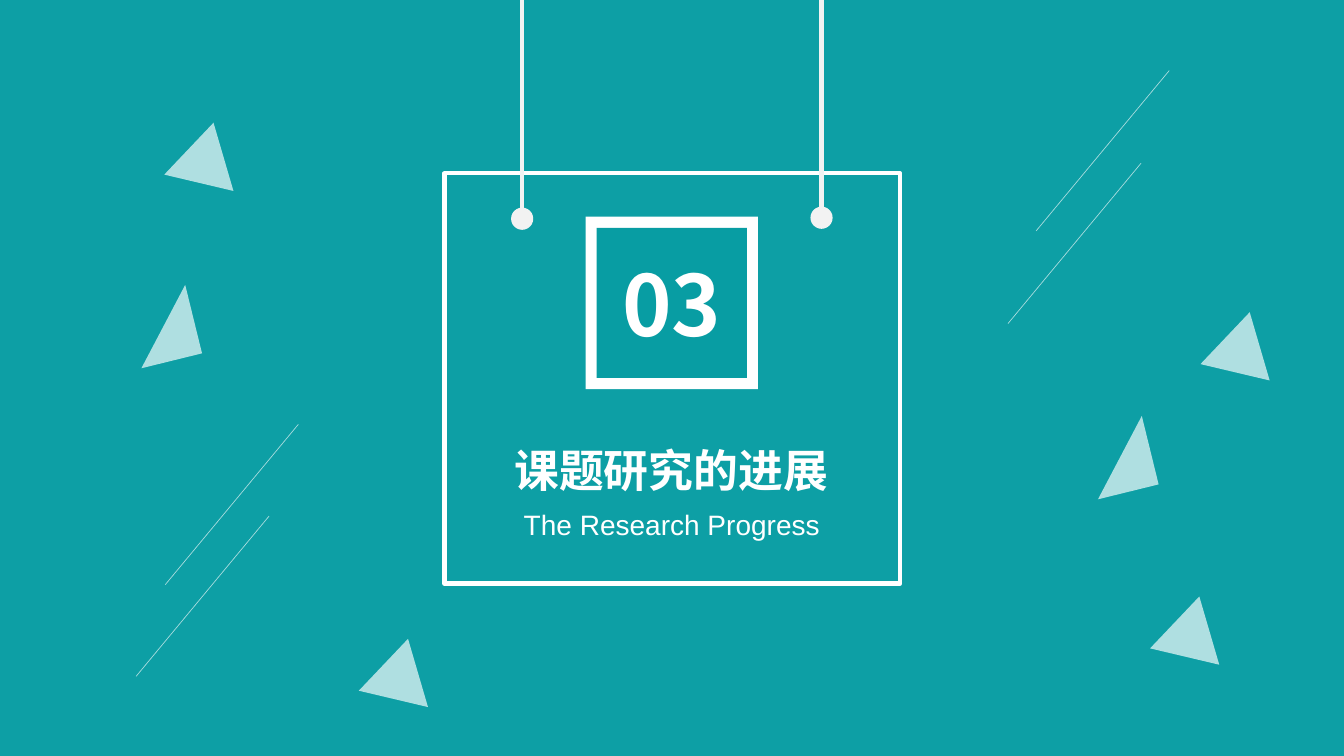
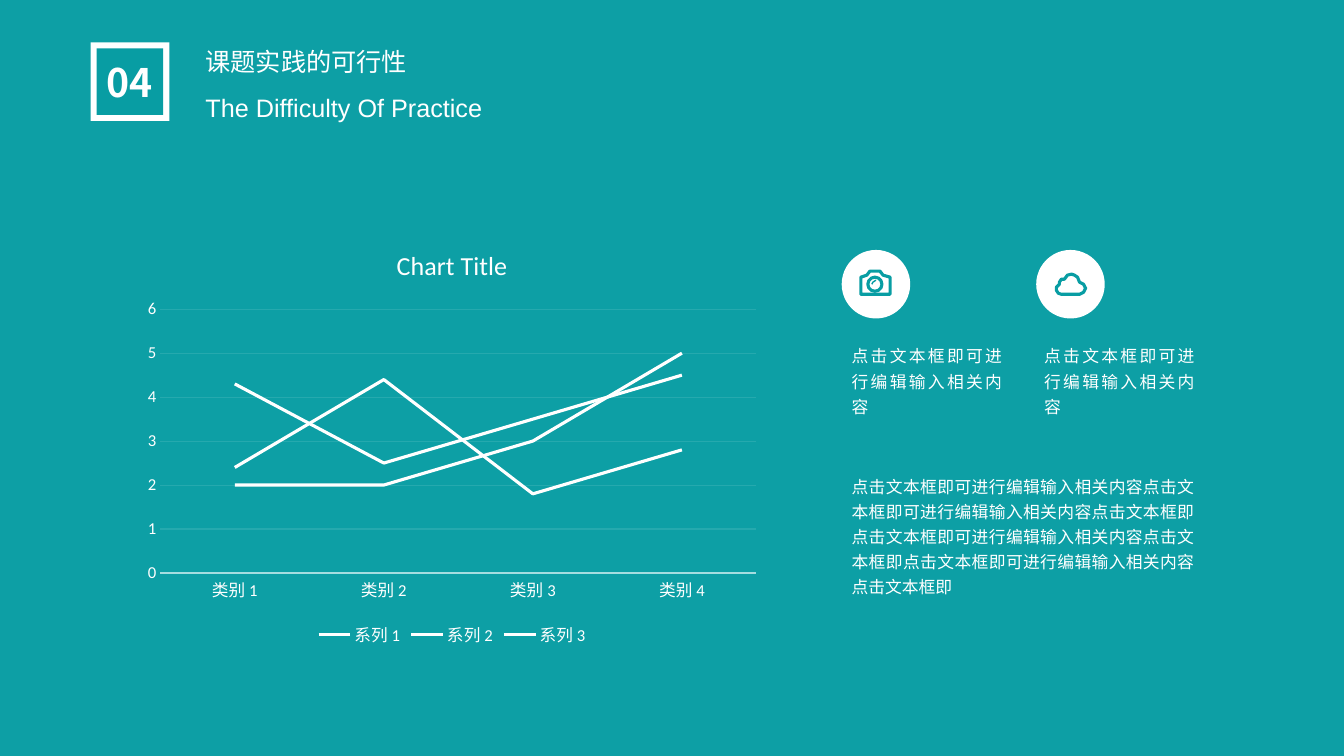
"""Build the section divider and the practice slide of a research deck."""
from lxml import etree
from pptx import Presentation, util as u
from pptx.chart import data
from pptx.dml.color import RGBColor
from pptx.enum import chart as charts, shapes, text
from pptx.oxml.ns import qn

PX = 9144
COLOURS = {"ground": "0D9FA5", "teal": "089DA3", "white": "FFFFFF",
           "string": "F2F2F2", "axis": "A5DDE0", "grid": "25A9AE"}
HAN, LATIN, FIGURES = "Noto Sans CJK SC", "Arial", "Calibri"
RGB = {name: RGBColor.from_string(value) for name, value in COLOURS.items()}
ALIGN = text.PP_ALIGN
PRESET = shapes.MSO_SHAPE


def paint(item, fill=None, line=None, weight=1):
    """Give a shape its fill and outline, without shadow."""
    item.shadow.inherit = False
    if fill:
        item.fill.solid()
        item.fill.fore_color.rgb = RGB[fill]
    else:
        item.fill.background()
    if line:
        item.line.color.rgb = RGB[line]
        item.line.width = u.Pt(weight)
    else:
        item.line.fill.background()
    return item


def write(item, wording, size, face, align, bold=False, **frame_format):
    """Put one white paragraph into a shape."""
    frame = item.text_frame
    layout = {"word_wrap": True, "margin_top": 0, "margin_bottom": 0,
              "vertical_anchor": text.MSO_ANCHOR.MIDDLE, **frame_format}
    for name, value in layout.items():
        setattr(frame, name, value)
    paragraph = frame.paragraphs[0]
    paragraph.alignment = align
    run = paragraph.add_run()
    run.text = wording
    for name, value in {"size": u.Pt(size), "name": face, "bold": bold}.items():
        setattr(run.font, name, value)
    run.font.color.rgb = RGB["white"]
    etree.SubElement(run.font._element, qn("a:ea"), typeface=face)
    return paragraph


deck = Presentation()
deck.slide_width, deck.slide_height = u.Emu(12192000), u.Emu(6858000)

SECTIONS = [
    ("03", 60, (581, 215, 171), 11, ALIGN.CENTER,
     [("课题研究的进展", 32, HAN, True, (395, 434, 542, 64)),
      ("The Research Progress", 20, LATIN, False, (392, 498, 549, 44))]),
    ("04", 28, (90, 42, 78), 6, ALIGN.LEFT,
     [("课题实践的可行性", 18, HAN, False, (194, 41, 542, 40)),
      ("The Difficulty Of Practice", 18, LATIN, False, (194, 87, 549, 40))]),
]
slides = []
for number, number_size, (left, top, side), rim, align, headings in SECTIONS:
    slide = deck.slides.add_slide(deck.slide_layouts[6])
    slide.background.fill.solid()
    slide.background.fill.fore_color.rgb = RGB["ground"]
    for inset, fill in ((0, "white"), (rim, "teal")):
        badge = paint(slide.shapes.add_shape(
            PRESET.RECTANGLE, (left + inset) * PX, (top + inset) * PX,
            (side - 2 * inset) * PX, (side - 2 * inset) * PX), fill)
    write(badge, number, number_size, HAN, ALIGN.CENTER, True,
          word_wrap=False, margin_left=0, margin_right=0)
    for wording, size, face, bold, box in headings:
        heading = slide.shapes.add_textbox(*(v * PX for v in box))
        write(heading, wording, size, face, align, bold)
    slides.append(slide)
divider, practice = slides

sign = divider.shapes.add_shape(PRESET.RECTANGLE, 441 * PX, 172 * PX, 452 * PX, 407 * PX)
paint(sign, line="white", weight=3)

STRINGS = [(x, 0, x, 214, "string", 3, 100) for x in (518, 815)]
STREAKS = [(x, y, x - 132, y + 159, "white", 0.5, 64)
           for x, y in ((1160, 70), (1132, 162), (296, 421), (267, 512))]
for x1, y1, x2, y2, colour, weight, opacity in STRINGS + STREAKS:
    stroke = divider.shapes.add_connector(
        shapes.MSO_CONNECTOR.STRAIGHT, x1 * PX, y1 * PX, x2 * PX, y2 * PX)
    stroke.line.color.rgb = RGB[colour]
    stroke.line.width = u.Pt(weight)
    properties = stroke._element.spPr
    etree.SubElement(properties, qn("a:effectLst"))
    if opacity < 100:
        tint = properties.find(".//" + qn("a:srgbClr"))
        etree.SubElement(tint, qn("a:alpha"), val=str(opacity * 1000))
for left, top in ((507, 206), (804, 205)):
    paint(divider.shapes.add_shape(
        PRESET.OVAL, left * PX, top * PX, 22 * PX, 22 * PX), "string")

SLANTED = {"size": (62, 70), "turn": 346.2, "peak": 1,
           "places": [(1080, 419), (131, 289)]}
EVEN = {"size": (71, 61), "turn": 133.5, "peak": 0.5,
        "places": [(1202, 326), (1152, 608), (174, 138), (367, 650)]}
for confetti in (SLANTED, EVEN):
    width, height = confetti["size"]
    for left, top in confetti["places"]:
        piece = paint(divider.shapes.add_shape(
            PRESET.ISOSCELES_TRIANGLE, left * PX, top * PX, width * PX, height * PX), "white")
        piece.adjustments[0] = confetti["peak"]
        piece.rotation = confetti["turn"]
        tint = piece._element.spPr.find(".//" + qn("a:srgbClr"))
        etree.SubElement(tint, qn("a:alpha"), val="67000")

figures = data.CategoryChartData()
figures.categories = [f"类别 {n}" for n in range(1, 5)]
for n, values in enumerate([(4.3, 2.5, 3.5, 4.5), (2.4, 4.4, 1.8, 2.8), (2, 2, 3, 5)], 1):
    figures.add_series(f"系列 {n}", values)
trend = practice.shapes.add_chart(
    charts.XL_CHART_TYPE.LINE, 134 * PX, 227 * PX, 629 * PX, 419 * PX, figures).chart
trend.has_title = trend.has_legend = True
trend.chart_title.text_frame.text = "Chart Title"
trend.legend.position = charts.XL_LEGEND_POSITION.BOTTOM
trend.legend.include_in_layout = False
title_font = trend.chart_title.text_frame.paragraphs[0].runs[0].font
for font, size in ((trend.font, 11.9), (title_font, 18.6), (trend.legend.font, 11.9),
                   (trend.category_axis.tick_labels.font, 11.9),
                   (trend.value_axis.tick_labels.font, 11.9)):
    for name, value in {"name": FIGURES, "size": u.Pt(size), "bold": False}.items():
        setattr(font, name, value)
    font.color.rgb = RGB["white"]
for axis in (trend.category_axis, trend.value_axis):
    axis.major_tick_mark = axis.minor_tick_mark = charts.XL_TICK_MARK.NONE
for name, value in {"minimum_scale": 0, "maximum_scale": 6, "major_unit": 1}.items():
    setattr(trend.value_axis, name, value)
trend.value_axis.format.line.fill.background()
for rule, colour in ((trend.category_axis.format.line, "axis"),
                     (trend.value_axis.major_gridlines.format.line, "grid")):
    rule.color.rgb = RGB[colour]
    rule.width = u.Pt(0.75)
trend.plots[0].vary_by_categories = False
for series in trend.plots[0].series:
    series.smooth = False
    series.marker.style = charts.XL_MARKER_STYLE.NONE
    series.format.line.color.rgb = RGB["white"]
    series.format.line.width = u.Pt(2.25)

for left in (835, 1028):
    paint(practice.shapes.add_shape(
        PRESET.OVAL, left * PX, 248 * PX, 68 * PX, 68 * PX), "white")
CAMERA = [(854, 275), (860, 273), (863, 269), (873, 269), (876, 273),
          (883, 275), (883, 292), (854, 292)]
GLINT = [(865, 282), (866, 280), (869, 278)]
CLOUD = [(1053, 292), (1071, 292), (1075, 290), (1077, 286), (1075, 282),
         (1071, 280), (1069, 275), (1066, 273), (1063, 272), (1059, 273),
         (1056, 277), (1053, 277), (1051, 280), (1051, 282), (1048, 285),
         (1048, 288), (1050, 291)]
for points, closed, weight in ((CAMERA, True, 2.25), (GLINT, False, 1), (CLOUD, True, 2.25)):
    outline = practice.shapes.build_freeform(*points[0], scale=PX)
    outline.add_line_segments(points[1:], close=closed)
    paint(outline.convert_to_shape(), line="teal", weight=weight)
lens = practice.shapes.add_shape(PRESET.OVAL, 861 * PX, 275 * PX, 14 * PX, 14 * PX)
paint(lens, line="teal", weight=2.25)

PROMPT = "点击文本框即可进行编辑输入相关内容"
DETAIL = PROMPT * 2 + "点击文本框即" + (PROMPT + "点击文本框即") * 2
for wording, box in ((PROMPT, (835, 333, 169, 86)), (PROMPT, (1026, 333, 169, 86)),
                     (DETAIL, (835, 462, 360, 136))):
    note = practice.shapes.add_textbox(*(v * PX for v in box))
    paragraph = write(note, wording, 12, HAN, ALIGN.JUSTIFY)
    paragraph.line_spacing = u.Pt(18)

deck.save("out.pptx")
